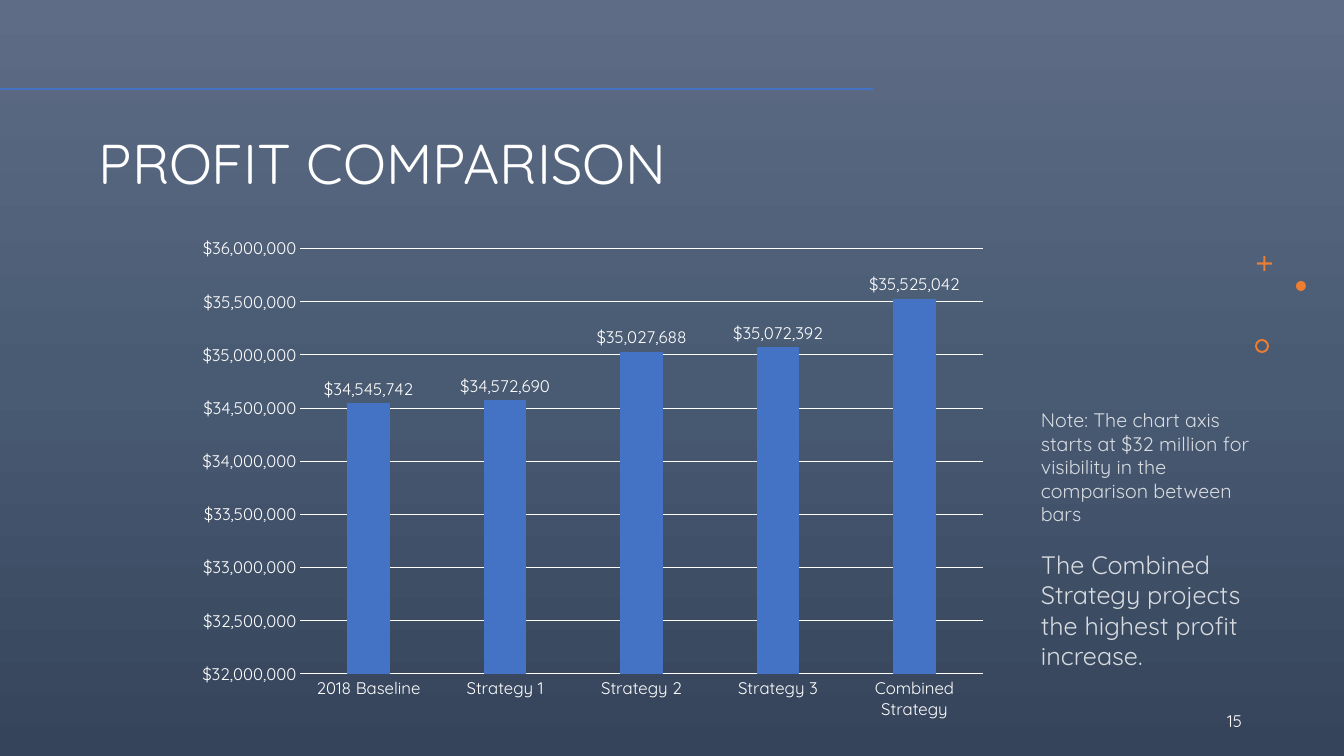
from copy import deepcopy
from dataclasses import dataclass

from lxml.etree import SubElement
from pptx import Presentation
from pptx.chart.data import CategoryChartData
from pptx.dml.color import RGBColor
from pptx.enum.chart import XL_CHART_TYPE, XL_LABEL_POSITION, XL_TICK_MARK
from pptx.enum.shapes import MSO_CONNECTOR, MSO_SHAPE as Shape
from pptx.enum.text import MSO_ANCHOR as Anchor, PP_ALIGN as Align
from pptx.oxml.ns import qn
from pptx.slide import Slide
from pptx.util import Pt

EMU_PER_PX = 12192000 / 1344
FONT = "Quicksand"
WHITE, BLUE, ORANGE = "FFFFFF", "4472C4", "ED7D31"
BACKGROUND = ["5E6D85", "495A73", "35445A"]
DOLLARS = '"$"#,##0'
PROFITS = {
    "2018 Baseline": 34545742,
    "Strategy 1": 34572690,
    "Strategy 2": 35027688,
    "Strategy 3": 35072392,
    "Combined Strategy": 35525042,
}


@dataclass
class Line:
    text: str
    size: int
    opacity: int = 100
    space_before: int = 0
    spacing: float = 1.0


@dataclass
class TextBox:
    box: tuple[int, int, int, int]
    lines: list[Line]
    anchor: Anchor = Anchor.TOP
    align: Align = Align.LEFT


@dataclass
class Mark:
    preset: Shape
    box: tuple[int, int, int, int]
    adjustment: float | None = None


TEXT_BOXES = [
    TextBox((89, 122, 1163, 80), [Line("PROFIT COMPARISON", 40, spacing=0.9)], Anchor.BOTTOM),
    TextBox((1031, 403, 252, 275), [
        Line("Note: The chart axis starts at $32 million for visibility "
             "in the comparison between bars", 14, opacity=80),
        Line("The Combined Strategy projects the highest profit increase.", 18,
             opacity=80, space_before=17),
    ]),
    TextBox((950, 701, 302, 40), [Line("15", 12)], Anchor.MIDDLE, Align.RIGHT),
]
MARKS = [
    Mark(Shape.CROSS, (1257, 256, 15, 15), 0.43),
    Mark(Shape.OVAL, (1296, 281, 10, 10)),
    Mark(Shape.DONUT, (1255, 339, 14, 14), 0.14),
]


def px(*lengths: int) -> list[int]:
    return [round(length * EMU_PER_PX) for length in lengths]


def color(hex_value: str) -> RGBColor:
    return RGBColor.from_string(hex_value)


def style_font(font, size: int) -> None:
    font.name = FONT
    font.size = Pt(size)
    font.color.rgb = color(WHITE)


def style_line(line, hex_value: str, width: float) -> None:
    line.color.rgb = color(hex_value)
    line.width = Pt(width)


def paint_background(slide: Slide) -> None:
    fill = slide.background.fill
    fill.gradient()
    fill.gradient_angle = 270
    stop_list = next(slide.element.iter(qn("a:gsLst")))
    stop_list.append(deepcopy(stop_list[-1]))
    for index, (stop, hex_value) in enumerate(zip(fill.gradient_stops, BACKGROUND)):
        stop.position = index / 2
        stop.color.rgb = color(hex_value)


def add_text(slide: Slide, item: TextBox) -> None:
    frame = slide.shapes.add_textbox(*px(*item.box)).text_frame
    frame.word_wrap = True
    frame.vertical_anchor = item.anchor
    frame.text = "\n".join(line.text for line in item.lines)
    for paragraph, line in zip(frame.paragraphs, item.lines):
        paragraph.alignment = item.align
        paragraph.line_spacing = line.spacing
        if line.space_before:
            paragraph.space_before = Pt(line.space_before)
        run = paragraph.runs[0]
        style_font(run.font, line.size)
        if line.opacity < 100:
            for rgb in run.font._element.iter(qn("a:srgbClr")):
                SubElement(rgb, qn("a:alpha"), val=str(line.opacity * 1000))


def add_mark(slide: Slide, mark: Mark) -> None:
    shape = slide.shapes.add_shape(mark.preset, *px(*mark.box))
    shape.shadow.inherit = False
    shape.fill.solid()
    shape.fill.fore_color.rgb = color(ORANGE)
    shape.line.fill.background()
    if mark.adjustment is not None:
        shape.adjustments[0] = mark.adjustment


def add_rule(slide: Slide) -> None:
    rule = slide.shapes.add_connector(MSO_CONNECTOR.STRAIGHT, *px(0, 89, 873, 89))
    style_line(rule.line, BLUE, 2)
    SubElement(rule._element.spPr, qn("a:effectLst"))


def add_profit_chart(slide: Slide) -> None:
    data = CategoryChartData(number_format=DOLLARS)
    data.categories = list(PROFITS)
    data.add_series("Series 1", list(PROFITS.values()))
    chart = slide.shapes.add_chart(
        XL_CHART_TYPE.COLUMN_CLUSTERED, *px(186, 228, 813, 502), data).chart
    chart.has_title = False
    chart.has_legend = False
    style_font(chart.font, 10)

    plot = chart.plots[0]
    plot.vary_by_categories = False
    plot.gap_width = 219
    plot.overlap = -27
    series = plot.series[0]
    series.format.fill.solid()
    series.format.fill.fore_color.rgb = color(BLUE)
    labels = series.data_labels
    labels.show_value = True
    labels.number_format = DOLLARS
    labels.number_format_is_linked = False
    labels.position = XL_LABEL_POSITION.OUTSIDE_END
    style_font(labels.font, 12)

    for axis in (chart.category_axis, chart.value_axis):
        axis.major_tick_mark = XL_TICK_MARK.NONE
        axis.minor_tick_mark = XL_TICK_MARK.NONE
        style_font(axis.tick_labels.font, 12)
    style_line(chart.category_axis.format.line, WHITE, 0.75)

    profit_axis = chart.value_axis
    profit_axis.minimum_scale = 32_000_000
    profit_axis.maximum_scale = 36_000_000
    profit_axis.major_unit = 500_000
    profit_axis.tick_labels.number_format = DOLLARS
    profit_axis.tick_labels.number_format_is_linked = False
    profit_axis.format.line.fill.background()
    style_line(profit_axis.major_gridlines.format.line, WHITE, 0.75)


def main() -> None:
    presentation = Presentation()
    presentation.slide_width, presentation.slide_height = px(1344, 756)
    slide = presentation.slides.add_slide(presentation.slide_layouts[6])
    paint_background(slide)
    add_rule(slide)
    for mark in MARKS:
        add_mark(slide, mark)
    add_profit_chart(slide)
    for item in TEXT_BOXES:
        add_text(slide, item)
    presentation.save("out.pptx")


if __name__ == "__main__":
    main()
